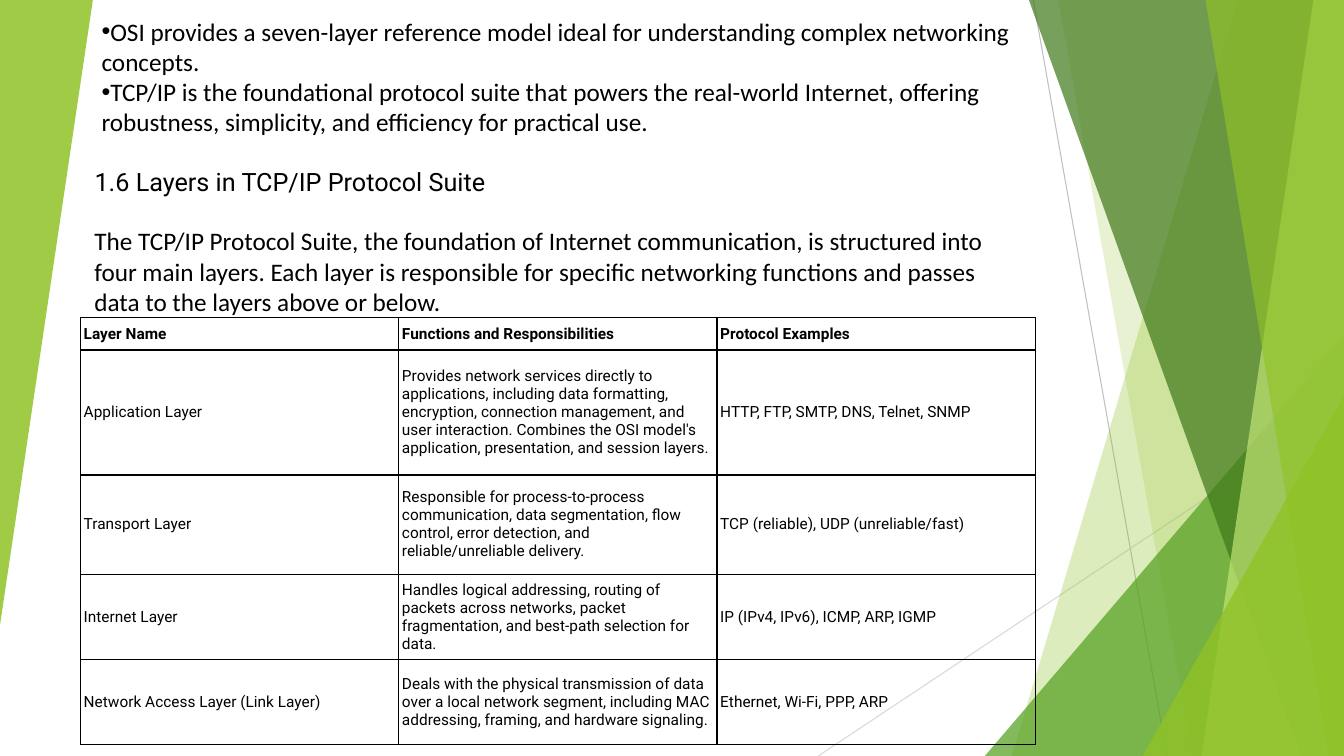
"""Build the slide on the layers of the TCP/IP protocol suite."""
from lxml import etree
from pptx import Presentation, util as u
from pptx.dml.color import RGBColor
from pptx.enum import shapes, text
from pptx.oxml import ns


class Theme:
    ink = "000000"
    lime, pale, green, dark = "90C226", "C0E474", "54A021", "3F7819"
    grey, mist = "BFBFBF", "D9D9D9"
    sans, head = "Calibri", "Roboto"
    body, cell = 18, 11


def write(frame, *lines, font=Theme.sans, size=Theme.body, bold=False,
          bullet=None, pad=None, anchor=text.MSO_ANCHOR.TOP):
    frame.word_wrap = True
    frame.vertical_anchor = anchor
    if pad is not None:
        frame.margin_left = frame.margin_right = pad
        frame.margin_top = frame.margin_bottom = pad
    for i, line in enumerate(lines):
        para = frame.add_paragraph() if i else frame.paragraphs[0]
        para.alignment = text.PP_ALIGN.LEFT
        if bullet:
            props = para._p.get_or_add_pPr()
            props.set("marL", "0")
            props.set("indent", "0")
            etree.SubElement(props, ns.qn("a:buFont"), typeface="Arial")
            etree.SubElement(props, ns.qn("a:buChar"), char=bullet)
        run = para.add_run()
        run.text = line
        run.font.name, run.font.size, run.font.bold = font, u.Pt(size), bold
        run.font.color.rgb = RGBColor.from_string(Theme.ink)


def tint(shape, color, alpha):
    shape.shadow.inherit = False
    shape.line.fill.background()
    shape.fill.solid()
    shape.fill.fore_color.rgb = RGBColor.from_string(color)
    clr = shape.fill._xPr.find(".//" + ns.qn("a:srgbClr"))
    etree.SubElement(clr, ns.qn("a:alpha"), val=str(alpha * 1000))


WIDE, HIGH = 33.87, 19.05
deck = Presentation()
deck.slide_width, deck.slide_height = u.Cm(WIDE), u.Cm(HIGH)
slide = deck.slides.add_slide(deck.slide_layouts[5])
items = slide.shapes

rays = [
    (26.04, 0, 29.41, HIGH, Theme.grey),
    (WIDE, 10.24, 20.62, HIGH, Theme.mist),
]
for *ends, color in rays:
    ray = items.add_connector(shapes.MSO_CONNECTOR.STRAIGHT, *map(u.Cm, ends))
    ray.line.color.rgb = RGBColor.from_string(color)
    ray.line.width = u.Pt(0.75)
    etree.SubElement(ray._element.spPr, ns.qn("a:effectLst"))

# Panes give top and bottom x; wedges give left x and top y.
facets = [
    ("pane", 31.19, 25.5, Theme.lime, 30),
    ("pane", 26.67, 30.05, Theme.lime, 20),
    ("wedge", 24.82, 8.46, Theme.green, 72),
    ("pane", 25.93, 32.79, Theme.dark, 70),
    ("pane", 33.1, 30.28, Theme.pale, 70),
    ("pane", 30.38, 33.48, Theme.lime, 65),
    ("wedge", 28.8, 9.98, Theme.lime, 80),
    ("edge", 2.34, 15.75, Theme.lime, 85),
]
for kind, a, b, color, alpha in facets:
    if kind == "pane":
        path = items.build_freeform(u.Cm(a), 0)
        spots = [(WIDE, 0), (WIDE, HIGH), (b, HIGH)]
        path.add_line_segments([(u.Cm(x), u.Cm(y)) for x, y in spots])
        facet = path.convert_to_shape()
    else:
        box = (a, b, WIDE - a, HIGH - b) if kind == "wedge" else (0, 0, a, b)
        facet = items.add_shape(shapes.MSO_SHAPE.ISOSCELES_TRIANGLE,
                                *map(u.Cm, box))
        facet.adjustments[0] = 1
        facet.rotation = 180 if kind == "edge" else 0
    tint(facet, color, alpha)

points = items.add_textbox(u.Cm(2.31), u.Cm(0.28), u.Cm(23.85), u.Cm(3.33))
write(points.text_frame,
      "OSI provides a seven-layer reference model ideal for understanding "
      "complex networking concepts.",
      "TCP/IP is the foundational protocol suite that powers the real-world "
      "Internet, offering robustness, simplicity, and efficiency for "
      "practical use.", bullet="•")

title = items.title
title.left, title.top = u.Cm(2.13), u.Cm(4.06)
title.width, title.height = u.Cm(23.85), u.Cm(1.02)
title.text_frame.auto_size = text.MSO_AUTO_SIZE.NONE
write(title.text_frame, "1.6 Layers in TCP/IP Protocol Suite", font=Theme.head)

intro = items.add_textbox(u.Cm(2.13), u.Cm(5.56), u.Cm(23.85), u.Cm(2.57))
write(intro.text_frame,
      "The TCP/IP Protocol Suite, the foundation of Internet communication, "
      "is structured into four main layers. Each layer is responsible for "
      "specific networking functions and passes data to the layers above or "
      "below.")

layers = [
    ("Layer Name", "Functions and Responsibilities", "Protocol Examples"),
    ("Application Layer",
     "Provides network services directly to applications, including data "
     "formatting, encryption, connection management, and user interaction. "
     "Combines the OSI model's application, presentation, and session layers.",
     "HTTP, FTP, SMTP, DNS, Telnet, SNMP"),
    ("Transport Layer",
     "Responsible for process-to-process communication, data segmentation, "
     "flow control, error detection, and reliable/unreliable delivery.",
     "TCP (reliable), UDP (unreliable/fast)"),
    ("Internet Layer",
     "Handles logical addressing, routing of packets across networks, packet "
     "fragmentation, and best-path selection for data.",
     "IP (IPv4, IPv6), ICMP, ARP, IGMP"),
    ("Network Access Layer (Link Layer)",
     "Deals with the physical transmission of data over a local network "
     "segment, including MAC addressing, framing, and hardware signaling.",
     "Ethernet, Wi-Fi, PPP, ARP"),
]
highs = [0.82, 3.15, 2.5, 2.15, 2.15]
grid = items.add_table(len(layers), 3, u.Cm(2.03), u.Cm(8), u.Cm(24.06),
                       u.Cm(sum(highs))).table
grid.first_row = grid.horz_banding = False
for col in grid.columns:
    col.width = u.Cm(8.02)
for r, (high, layer) in enumerate(zip(highs, layers)):
    grid.rows[r].height = u.Cm(high)
    for c, words in enumerate(layer):
        cell = grid.cell(r, c)
        cell.margin_left = cell.margin_right = u.Cm(0.08)
        cell.margin_top = cell.margin_bottom = u.Cm(0.08)
        cell.vertical_anchor = text.MSO_ANCHOR.MIDDLE
        write(cell.text_frame, words, font=Theme.head, size=Theme.cell,
              bold=r == 0, anchor=None)
        props = cell._tc.get_or_add_tcPr()
        for side in ("lnL", "lnR", "lnT", "lnB"):
            edge = etree.SubElement(props, ns.qn("a:" + side),
                                    w=str(u.Pt(1)))
            fill = etree.SubElement(edge, ns.qn("a:solidFill"))
            etree.SubElement(fill, ns.qn("a:srgbClr"), val=Theme.ink)
        cell.fill.background()

deck.save("out.pptx")
